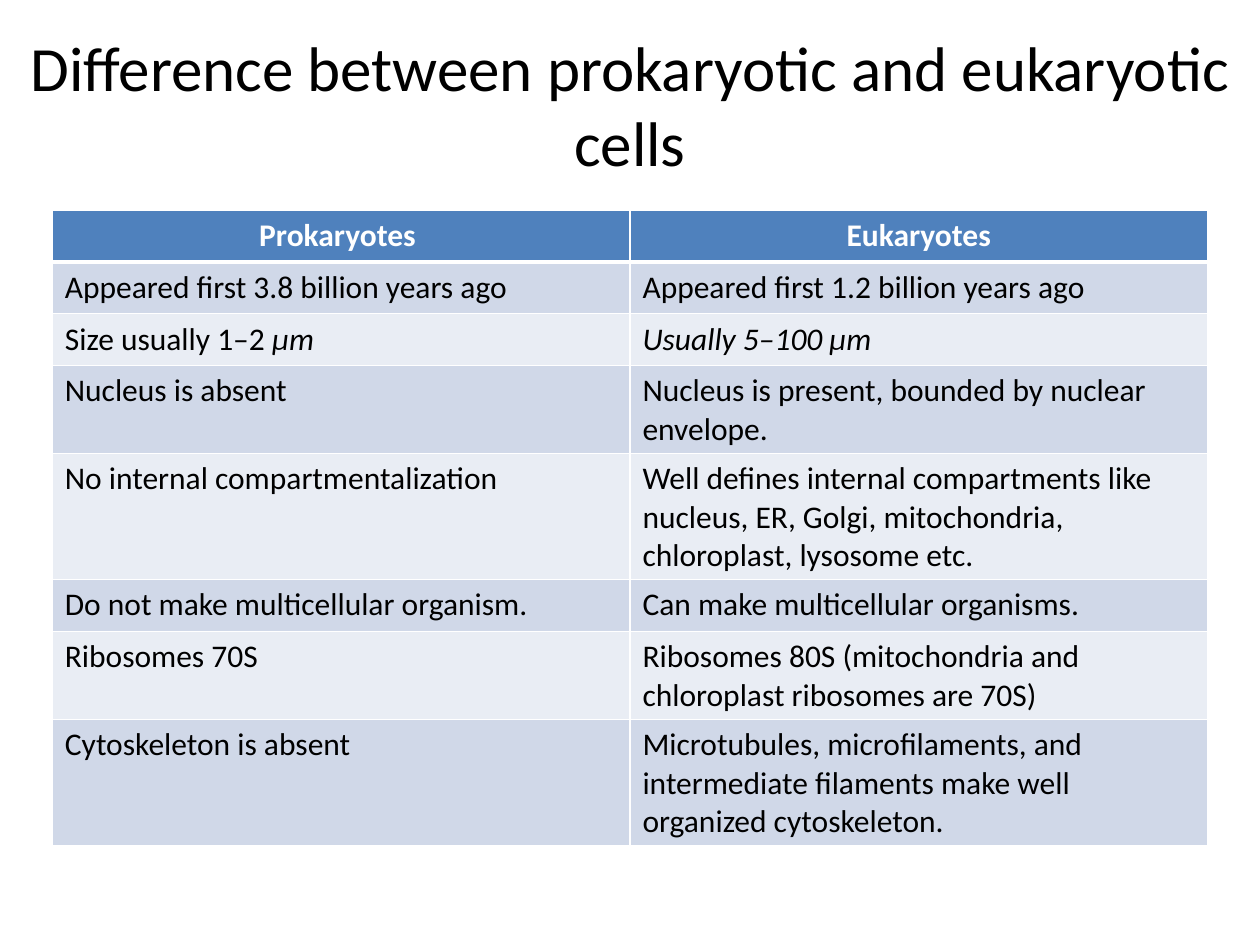
from lxml.etree import SubElement
from pptx import Presentation
from pptx.dml.color import RGBColor
from pptx.enum.text import MSO_ANCHOR, MSO_AUTO_SIZE, PP_ALIGN
from pptx.oxml.ns import qn
from pptx.util import Inches, Pt

# Content: each cell is plain text or a list of (text, italic) runs
TITLE = "Difference between prokaryotic and eukaryotic cells"
ROWS = [
    ("Prokaryotes ", "Eukaryotes"),
    ("Appeared first 3.8 billion years ago", "Appeared first 1.2 billion years ago"),
    ([("Size usually 1–2 ", False), ("μm", True)], [("Usually 5–100 μm", True)]),
    ("Nucleus is absent", "Nucleus is present, bounded by nuclear envelope."),
    ("No internal compartmentalization",
     "Well defines internal compartments like nucleus, ER, Golgi, "
     "mitochondria, chloroplast, lysosome etc."),
    ("Do not make multicellular organism.", "Can make multicellular organisms."),
    ("Ribosomes 70S", "Ribosomes 80S (mitochondria and chloroplast ribosomes are 70S)"),
    ("Cytoskeleton is absent",
     "Microtubules, microfilaments, and intermediate filaments make well "
     "organized cytoskeleton."),
]
COLORS = {"header": "4F81BD", "odd": "D0D8E8", "even": "E9EDF4",
          "light": "FFFFFF", "text": "000000"}
FONT = "Calibri"


def rgb(name):
    return RGBColor.from_string(COLORS[name])


def style(font, size, color, bold=False, italic=False):
    font.name, font.size = FONT, Pt(size)
    font.bold, font.italic = bold, italic
    font.color.rgb = rgb(color)


def set_borders(cell, widths):
    """Add left, right, top and bottom lines; call before filling the cell."""
    tc_pr = cell._tc.get_or_add_tcPr()
    for side, width in zip("LRTB", widths):
        ln = SubElement(tc_pr, qn(f"a:ln{side}"), w=str(Pt(width)))
        fill = SubElement(ln, qn("a:solidFill"))
        SubElement(fill, qn("a:srgbClr"), val=COLORS["light"])


prs = Presentation()
prs.slide_width, prs.slide_height = Inches(10), Inches(7.5)
s = prs.slides.add_slide(prs.slide_layouts[5])

# Title
title = s.shapes.title
title.left, title.top = 0, Inches(0.17)
title.width, title.height = prs.slide_width, Inches(1.31)
tf = title.text_frame
tf.text = TITLE
tf.word_wrap = True
tf.auto_size = MSO_AUTO_SIZE.SHAPE_TO_FIT_TEXT
tf.vertical_anchor = MSO_ANCHOR.MIDDLE
tf.paragraphs[0].alignment = PP_ALIGN.CENTER
style(tf.paragraphs[0].runs[0].font, 36, "text")

# Comparison table, centred; rows grow to fit their text
width, height = Inches(9.17), Inches(5.02)
frame = s.shapes.add_table(len(ROWS), 2, (prs.slide_width - width) // 2,
                           Inches(1.67), width, height)
table = frame.table
for i, row in enumerate(ROWS):
    table.rows[i].height = Inches(0.41)
    header = i == 0
    band = "header" if header else "odd" if i % 2 else "even"
    for j, content in enumerate(row):
        cell = table.cell(i, j)
        set_borders(cell, (1, 1, 3 if i == 1 else 1, 3 if header else 1))
        cell.fill.solid()
        cell.fill.fore_color.rgb = rgb(band)
        p = cell.text_frame.paragraphs[0]
        p.alignment = PP_ALIGN.CENTER if header else PP_ALIGN.LEFT
        runs = [(content, False)] if isinstance(content, str) else content
        for text, italic in runs:
            r = p.add_run()
            r.text = text
            style(r.font, 18, "light" if header else "text", header, italic)
frame.height = height

prs.save("out.pptx")
